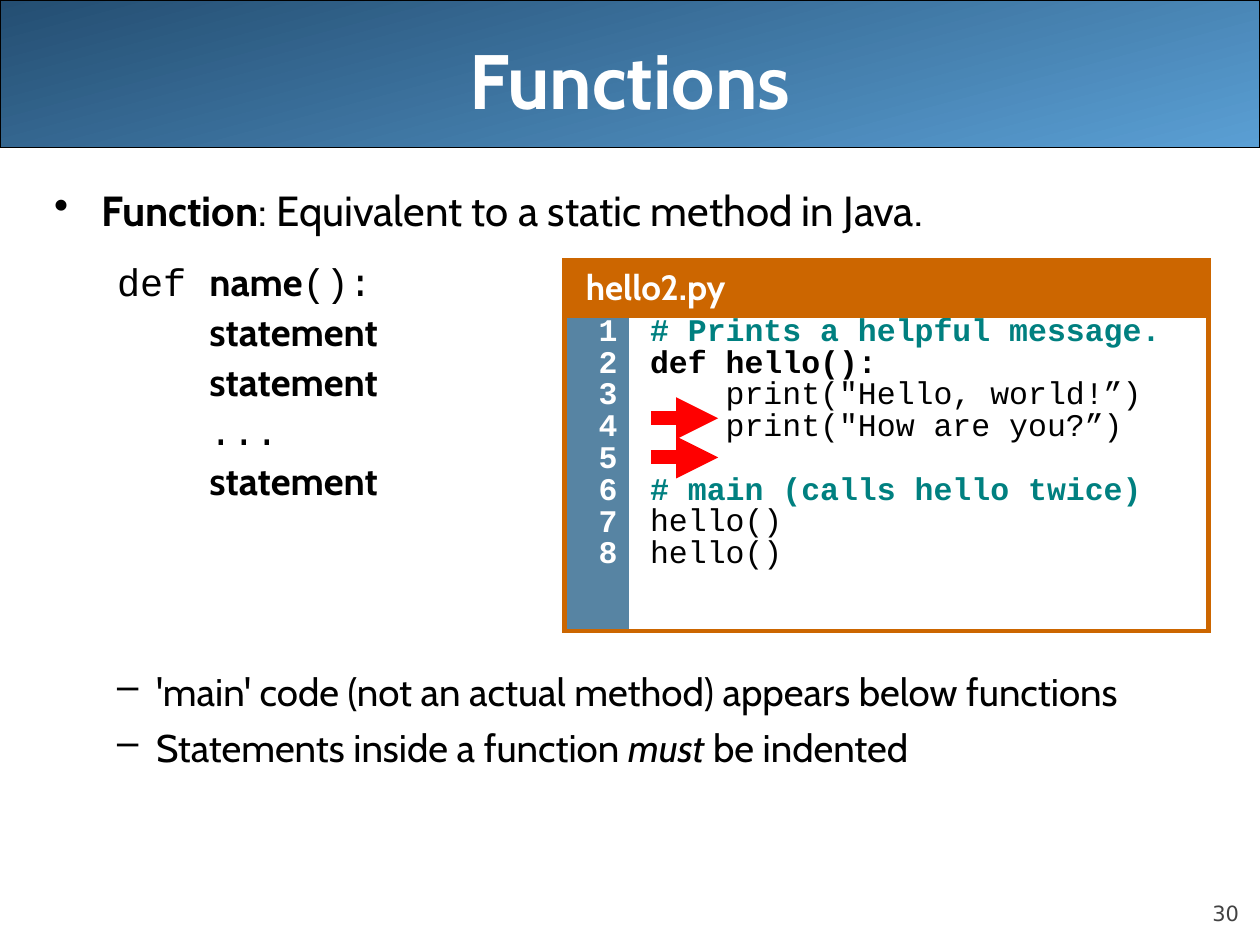
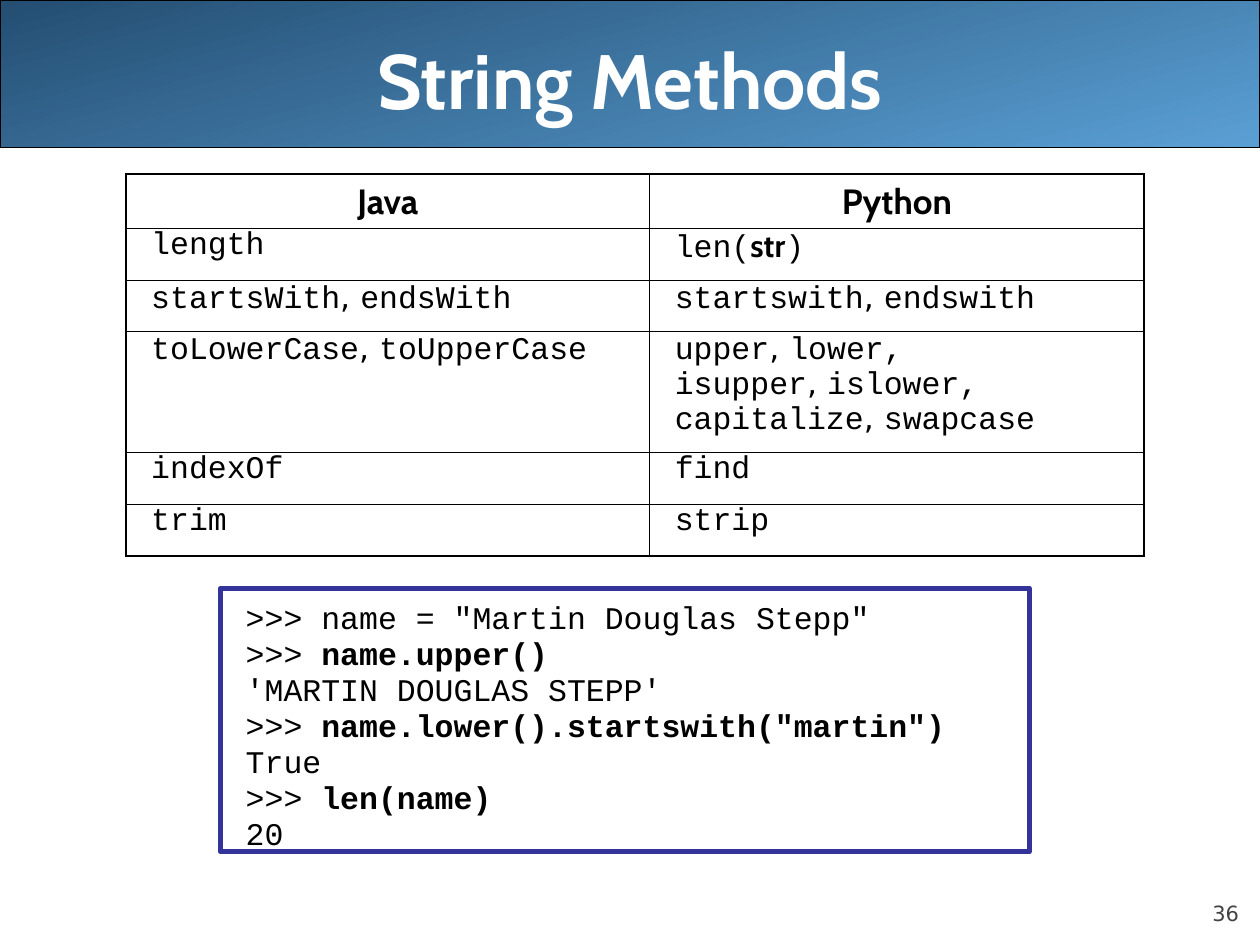
from lxml import etree
from pptx import Presentation
from pptx.dml.color import RGBColor
from pptx.enum.shapes import MSO_CONNECTOR, MSO_SHAPE
from pptx.enum.text import MSO_ANCHOR, PP_ALIGN
from pptx.oxml.ns import qn
from pptx.util import Pt

LEFT, CENTER, RIGHT = PP_ALIGN.LEFT, PP_ALIGN.CENTER, PP_ALIGN.RIGHT
TOP, MIDDLE, BOTTOM = MSO_ANCHOR.TOP, MSO_ANCHOR.MIDDLE, MSO_ANCHOR.BOTTOM
STRAIGHT = MSO_CONNECTOR.STRAIGHT
RECTANGLE, ROUNDED = MSO_SHAPE.RECTANGLE, MSO_SHAPE.ROUNDED_RECTANGLE

COLORS = {
    "black": "000000", "white": "FFFFFF", "page": "424242",
    "band dark": "244E72", "band light": "5A9FD4",
    "orange": "CC6600", "gutter": "5784A3", "comment": "008080",
    "arrow": "FF0000", "frame": "333399",
}
STYLES = {
    "text": ("Cabin", False, False),
    "strong": ("Cabin", True, False),
    "emphasis": ("Cabin", False, True),
    "code": ("Courier New", False, False),
    "strong code": ("Courier New", True, False),
    "plain": ("DejaVu Sans", False, False),
}
MONO_LINE = 1.13

INTRO = [[("Function", "strong"), (": Equivalent to a static method in Java.", "text")]]
STATEMENT = [("    ", "code"), ("statement", "strong")]
SYNTAX = [
    [("def ", "code"), ("name", "strong"), ("():", "code")],
    STATEMENT,
    STATEMENT,
    [("    ...", "code")],
    STATEMENT,
]
NOTES = [
    [("'main' code (not an actual method) appears below functions", "text")],
    [("Statements inside a function ", "text"), ("must", "emphasis"), (" be indented", "text")],
]
FILE_NAME = "hello2.py"
PROGRAM = [
    [("# Prints a helpful message.", "strong code", "comment")],
    [("def hello():", "strong code")],
    [('    print("Hello, world!”)', "code")],
    [('    print("How are you?”)', "code")],
    [],
    [("# main (calls hello twice)", "strong code", "comment")],
    [("hello()", "code")],
    [("hello()", "code")],
]
ARROW_HEIGHTS = (239, 261.4)

HEADINGS = ("Java", "Python")
METHODS = [
    (["length"], [[("len(", "code"), ("str", "strong"), (")", "code")]]),
    (["startsWith, endsWith"], ["startswith, endswith"]),
    (["toLowerCase, toUpperCase"],
     ["upper, lower,", "isupper, islower,", "capitalize, swapcase"]),
    (["indexOf"], ["find"]),
    (["trim"], ["strip"]),
]
METHOD_ROWS = (31, 29.5, 29.5, 69, 29.5, 29.5)
SESSION = [
    ('>>> ', 'name = "Martin Douglas Stepp"', "code"),
    (">>> ", "name.upper()", "strong code"),
    ("", "'MARTIN DOUGLAS STEPP'", "code"),
    (">>> ", 'name.lower().startswith("martin")', "strong code"),
    ("", "True", "code"),
    (">>> ", "len(name)", "strong code"),
    ("", "20", "code"),
]


def rgb(name):
    return RGBColor.from_string(COLORS[name])


def add_bullet(paragraph, symbol):
    properties = paragraph._p.get_or_add_pPr()
    color = etree.SubElement(properties, qn("a:buClr"))
    etree.SubElement(color, qn("a:srgbClr"), val=COLORS["black"])
    etree.SubElement(properties, qn("a:buChar"), char=symbol)


def write(frame, lines, size, color="black", align=LEFT, spacing=1.0,
          before=0, margin=0, hanging=0, bullet=None):
    gap = 0
    for index, runs in enumerate(lines):
        if not runs:
            gap += before + spacing * size * MONO_LINE
            continue
        paragraph = frame.add_paragraph() if index else frame.paragraphs[0]
        properties = paragraph._p.get_or_add_pPr()
        properties.set("marL", str(Pt(margin)))
        properties.set("indent", str(Pt(-hanging)))
        if bullet:
            add_bullet(paragraph, bullet)
        paragraph.alignment = align
        paragraph.line_spacing = spacing
        paragraph.space_before = Pt(before + gap if index else 0)
        gap = 0
        for text, style, *own_color in runs:
            run = paragraph.add_run()
            run.text = text
            run.font.name, run.font.bold, run.font.italic = STYLES[style]
            run.font.size = Pt(size)
            run.font.color.rgb = rgb(own_color[0] if own_color else color)


def set_frame(frame, margins=(7.2, 3.6, 7.2, 3.6), anchor=TOP):
    frame.word_wrap = True
    frame.vertical_anchor = anchor
    (frame.margin_left, frame.margin_top,
     frame.margin_right, frame.margin_bottom) = map(Pt, margins)
    return frame


def add_text(slide, box, lines, size, margins=(7.2, 3.6, 7.2, 3.6), anchor=TOP, **layout):
    shape = slide.shapes.add_textbox(*map(Pt, box))
    write(set_frame(shape.text_frame, margins, anchor), lines, size, **layout)


def add_slide(presentation, title_text, number):
    slide = presentation.slides.add_slide(presentation.slide_layouts[5])
    title = slide.shapes.title
    title.left, title.top, title.width, title.height = map(Pt, (36, 0, 648, 90))
    write(set_frame(title.text_frame, anchor=MIDDLE),
          [[(title_text, "strong")]], 44, "white", CENTER)

    band = slide.shapes.add_shape(ROUNDED, 0, 0, Pt(720), Pt(84.2))
    band.adjustments[0] = 0
    band.shadow.inherit = False
    band.fill.gradient()
    band.fill.gradient_angle = 285
    for stop, name in zip(band.fill.gradient_stops, ("band dark", "band light")):
        stop.color.rgb = rgb(name)
    band.line.color.rgb = rgb("black")
    band.line.width = Pt(0.75)
    title.element.addprevious(band.element)

    add_text(slide, (648, 500.4, 60, 28.8), [[(number, "plain")]], 12,
             margins=(0, 0, 0, 0), anchor=BOTTOM, color="page", align=RIGHT)
    return slide


def add_table(slide, left, top, columns, rows):
    frame = slide.shapes.add_table(len(rows), len(columns), Pt(left), Pt(top),
                                   Pt(sum(columns)), Pt(sum(rows)))
    table = frame.table
    table.first_row = table.horz_banding = False
    for column, width in zip(table.columns, columns):
        column.width = Pt(width)
    for row, height in zip(table.rows, rows):
        row.height = Pt(height)
    return table


def format_cell(cell, borders, color, fill=None, margins=(3.6, 3.6, 3.6, 3.6)):
    properties = cell._tc.get_or_add_tcPr()
    for side, width in zip("LRTB", borders):
        line = etree.SubElement(properties, qn("a:ln" + side), w=str(Pt(width)))
        if width:
            solid = etree.SubElement(line, qn("a:solidFill"))
            etree.SubElement(solid, qn("a:srgbClr"), val=COLORS[color])
        else:
            etree.SubElement(line, qn("a:noFill"))
    if fill:
        cell.fill.solid()
        cell.fill.fore_color.rgb = rgb(fill)
    else:
        cell.fill.background()
    (cell.margin_left, cell.margin_top,
     cell.margin_right, cell.margin_bottom) = map(Pt, margins)


def add_program(slide):
    table = add_table(slide, 322.6, 149, (36.7, 331.2), (31.5, 180))
    heading, heading_rest = table.cell(0, 0), table.cell(0, 1)
    numbers, code = table.cell(1, 0), table.cell(1, 1)
    heading.merge(heading_rest)
    for cell in (heading, heading_rest):
        format_cell(cell, (3, 3, 3, 3), "orange", "orange")
    format_cell(numbers, (3, 0, 3, 3), "orange", "gutter", (3.6, 3.6, 6.5, 3.6))
    format_cell(code, (0, 3, 3, 3), "orange", "white", (3.6, 3.6, 13, 3.6))

    write(heading.text_frame, [[(FILE_NAME, "strong")]], 20, "white", margin=8.6)
    listing = {"spacing": 0.67, "before": 4.5, "margin": 8.6}
    line_numbers = [[(str(number), "strong code")] for number in range(1, len(PROGRAM) + 1)]
    write(numbers.text_frame, line_numbers, 18, "white", RIGHT, **listing)
    write(code.text_frame, PROGRAM, 18, **listing)


def add_indent_arrow(slide, height):
    arrow = slide.shapes.add_connector(STRAIGHT, Pt(372), Pt(height), Pt(410.4), Pt(height))
    arrow.line.color.rgb = rgb("arrow")
    arrow.line.width = Pt(8)
    etree.SubElement(arrow.line._get_or_add_ln(), qn("a:tailEnd"), type="triangle")
    etree.SubElement(arrow.element.spPr, qn("a:effectLst"))


def split_names(line):
    if not isinstance(line, str):
        return line
    first, comma, second = line.partition(", ")
    runs = [(first, "code"), (comma, "plain"), (second, "code")]
    return [run for run in runs if run[0]]


def add_methods(slide):
    table = add_table(slide, 72, 99.4, (299.2, 282.6), METHOD_ROWS)
    last_row, last_column = len(METHOD_ROWS) - 1, len(HEADINGS) - 1
    for row in range(last_row + 1):
        for column in range(last_column + 1):
            cell = table.cell(row, column)
            outer = (column == 0, column == last_column, row == 0, row == last_row)
            side = 14.4 if row else 7.2
            format_cell(cell, [1.08 if edge else 0.45 for edge in outer], "black",
                        margins=(side, 3.6, side, 3.6))
            if row:
                lines = [split_names(line) for line in METHODS[row - 1][column]]
                write(cell.text_frame, lines, 18, spacing=0.7, before=4.5)
            else:
                write(cell.text_frame, [[(HEADINGS[column], "strong")]], 20, align=CENTER)


def add_session(slide):
    box = slide.shapes.add_shape(RECTANGLE, Pt(126), Pt(336.2), Pt(462.2), Pt(150.5))
    box.shadow.inherit = False
    box.fill.solid()
    box.fill.fore_color.rgb = rgb("white")
    box.line.color.rgb = rgb("frame")
    box.line.width = Pt(3)
    lines = [[run for run in ((prompt, "code"), (text, style)) if run[0]]
             for prompt, text, style in SESSION]
    write(set_frame(box.text_frame, (14.4, 7.2, 14.4, 7.2)), lines, 18, spacing=0.95)


def main():
    presentation = Presentation()
    presentation.slide_width, presentation.slide_height = Pt(720), Pt(540)

    functions = add_slide(presentation, "Functions", "30")
    add_text(functions, (23.8, 102.2, 684, 36), INTRO, 24,
             margin=27, hanging=27, bullet="•")
    add_text(functions, (23.8, 147.5, 290, 145), SYNTAX, 22,
             spacing=0.87, before=5.5, margin=58.3, hanging=22.3)
    add_text(functions, (23.8, 378, 684, 68), NOTES, 22,
             before=5.5, margin=58.3, hanging=22.3, bullet="–")
    add_program(functions)
    for height in ARROW_HEIGHTS:
        add_indent_arrow(functions, height)

    methods = add_slide(presentation, "String Methods", "36")
    add_session(methods)
    add_methods(methods)

    presentation.save("out.pptx")


if __name__ == "__main__":
    main()
